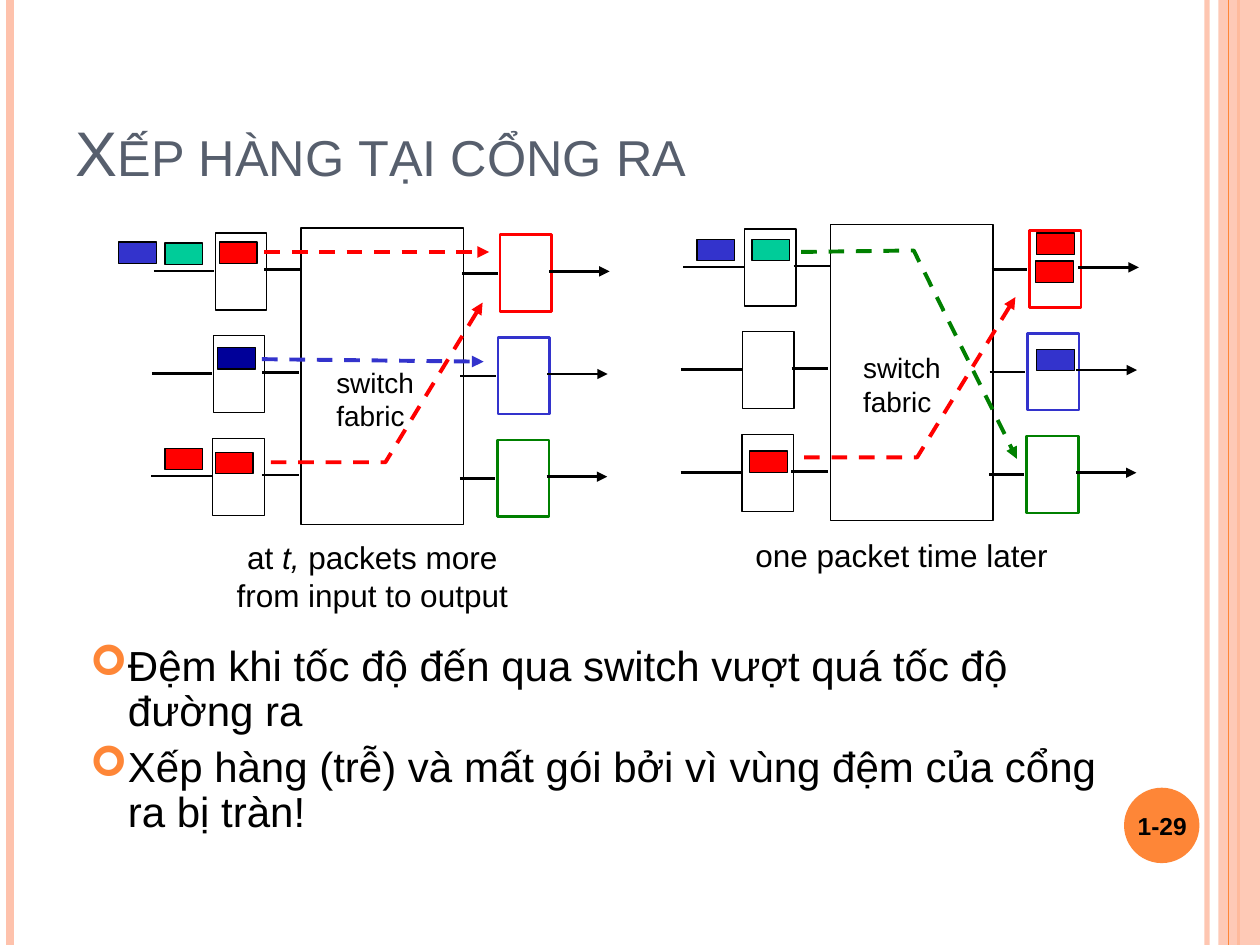
from dataclasses import dataclass
from typing import NamedTuple

from lxml.etree import SubElement
from pptx import Presentation
from pptx.dml.color import RGBColor
from pptx.enum.dml import MSO_LINE_DASH_STYLE as Dash
from pptx.enum.shapes import MSO_CONNECTOR as Connector, MSO_SHAPE as Shape
from pptx.enum.text import MSO_ANCHOR as Anchor, PP_ALIGN as Align
from pptx.oxml.ns import qn
from pptx.util import Cm, Pt


@dataclass(frozen=True)
class Theme:
    font: str = "Arial"
    bullet_font: str = "Wingdings"
    bullet_char: str = "¢"  # a bold ring in the symbol font
    black: str = "000000"
    white: str = "FFFFFF"
    red: str = "FF0000"
    blue: str = "3333CC"
    navy: str = "000099"
    green: str = "008000"
    teal: str = "00CC99"
    orange: str = "FE8637"
    peach: str = "FEC2AC"
    slate: str = "575F6D"
    title_pt: int = 36
    body_pt: int = 24
    caption_pt: int = 18
    label_pt: int = 16
    number_pt: int = 14


T = Theme()


class Box(NamedTuple):
    x: float
    y: float
    w: float
    h: float

    def emu(self) -> list:
        return [Cm(v) for v in self]


class Packet(NamedTuple):
    x: float
    y: float
    color: str


class Route(NamedTuple):
    points: list
    color: str


class Switch(NamedTuple):
    x: float
    y: float
    label: Box
    caption: Box
    caption_lines: list
    packets: list
    routes: list


BULLETS = [
    "Đệm khi tốc độ đến qua switch vượt quá tốc độ đường ra",
    "Xếp hàng (trễ) và mất gói bởi vì vùng đệm của cổng ra bị tràn!",
]
SWITCHES = [
    Switch(6.07, 4.6, Box(6.53, 7.24, 2.4, 1.63), Box(4.09, 10.72, 6.83, 1.78),
           ["at t, packets more", "from input to output"],
           [Packet(4.42, 4.88, T.red), Packet(4.39, 7.01, T.navy),
            Packet(4.34, 9.12, T.red), Packet(3.33, 4.9, T.teal),
            Packet(3.33, 9.04, T.red), Packet(2.39, 4.88, T.blue)],
           [Route([(5.33, 5.08), (9.86, 5.08)], T.red),
            Route([(5.46, 9.32), (7.77, 9.32), (9.73, 6.1)], T.red),
            Route([(5.28, 7.24), (9.75, 7.29)], T.blue)]),
    Switch(16.74, 4.52, Box(17.15, 6.95, 2.4, 1.63), Box(14.76, 10.68, 6.83, 1.02),
           ["one packet time later"],
           [Packet(20.9, 4.7, T.red), Packet(20.9, 7.04, T.blue),
            Packet(20.88, 5.26, T.red), Packet(15.16, 4.83, T.teal),
            Packet(15.11, 9.09, T.red), Packet(14.05, 4.83, T.blue)],
           [Route([(16.21, 9.22), (18.49, 9.22), (20.47, 5.99)], T.red),
            Route([(16.15, 5.08), (18.42, 5.05), (20.5, 9.25)], T.green)]),
]
ROW_PITCH = 2.07
ROW_SHIFTS = (0, -0.04, -0.05)
PORT_COLORS = (T.red, T.blue, T.green)


def rgb(color: str) -> RGBColor:
    return RGBColor.from_string(color)


def set_alpha(element, percent: int) -> None:
    clr = next(element.iter(qn("a:srgbClr")))
    SubElement(clr, qn("a:alpha")).set("val", str(percent * 1000))


def style_line(line, color: str, pt: float, arrow: bool = False, dashed: bool = False) -> None:
    line.color.rgb = rgb(color)
    line.width = Pt(pt)
    if dashed:
        line.dash_style = Dash.DASH
    if arrow:
        SubElement(line._get_or_add_ln(), qn("a:tailEnd")).set("type", "triangle")


def add_line(s, x1: float, y1: float, x2: float, y2: float, color: str = T.black,
             pt: float = 1.5, arrow: bool = False, dashed: bool = False):
    sp = s.shapes.add_connector(Connector.STRAIGHT, Cm(x1), Cm(y1), Cm(x2), Cm(y2))
    style_line(sp.line, color, pt, arrow, dashed)
    SubElement(sp._element.spPr, qn("a:effectLst"))
    return sp


def add_block(s, box: Box, fill: str, line: str = "", pt: float = 0.75, kind=Shape.RECTANGLE):
    sp = s.shapes.add_shape(kind, *box.emu())
    sp.shadow.inherit = False
    sp.fill.solid()
    sp.fill.fore_color.rgb = rgb(fill)
    if line:
        style_line(sp.line, line, pt)
    else:
        sp.line.fill.background()
    return sp


def add_route(s, route: Route) -> None:
    if len(route.points) == 2:
        (x1, y1), (x2, y2) = route.points
        add_line(s, x1, y1, x2, y2, route.color, 2.25, True, True)
        return
    start, *rest = [(Cm(x), Cm(y)) for x, y in route.points]
    builder = s.shapes.build_freeform(*start)
    builder.add_line_segments(rest, close=False)
    sp = builder.convert_to_shape()
    sp.shadow.inherit = False
    sp.fill.background()
    style_line(sp.line, route.color, 2.25, True, True)


def format_run(r, pt: int, color: str = T.black) -> None:
    r.font.name, r.font.size = T.font, Pt(pt)
    r.font.color.rgb = rgb(color)


def add_text(s, box: Box, lines: list, pt: int, align=Align.LEFT):
    tf = s.shapes.add_textbox(*box.emu()).text_frame
    tf.word_wrap = True
    tf.text = "\n".join(lines)
    for p in tf.paragraphs:
        p.alignment = align
        for r in p.runs:
            format_run(r, pt)
    return tf


def add_caption(s, switch: Switch) -> None:
    tf = add_text(s, switch.caption, switch.caption_lines, T.caption_pt, Align.CENTER)
    p = tf.paragraphs[0]
    before, variable, after = p.text.partition("t,")
    if variable:
        p.runs[0].text = before
        for part in (variable, after):
            r = p.add_run()
            r.text = part
            format_run(r, T.caption_pt)
            r.font.italic = part == variable


def draw_switch(s, switch: Switch) -> None:
    # Fabric, then one input port and one output port per row
    add_block(s, Box(switch.x, switch.y, 3.28, 5.97), T.white, T.black)
    for i, (shift, color) in enumerate(zip(ROW_SHIFTS, PORT_COLORS)):
        x, y = switch.x + shift, switch.y + i * ROW_PITCH
        add_block(s, Box(x - 1.73, y + 0.1, 1.04, 1.55), T.white, T.black)
        add_block(s, Box(x + 4.01, y + 0.13, 1.04, 1.55), T.white, color, 1.5)
        for x1, x2, dy in ((3.25, 3.96, 0.91), (-0.74, 0, 0.84), (-2.97, -1.75, 0.86)):
            add_line(s, x + x1, y + dy, x + x2, y + dy)
        add_line(s, x + 5, y + 0.87, x + 6.22, y + 0.87, arrow=True)
    for packet in switch.packets:
        add_block(s, Box(packet.x, packet.y, 0.76, 0.43), packet.color, T.black)
    add_text(s, switch.label, ["switch", "fabric"], T.label_pt)
    add_caption(s, switch)
    for route in switch.routes:
        add_route(s, route)


def draw_frame(s) -> None:
    edge = add_line(s, 24.33, 0, 24.33, 19.05, T.peach, 3)
    set_alpha(edge._element, 93)
    add_line(s, 0.2, 0, 0.2, 19.05, T.peach, 4.5)
    add_line(s, 24.97, 0, 24.97, 19.05, T.orange, 1.5)
    band = add_block(s, Box(24.56, 0, 0.84, 19.05), T.peach)
    set_alpha(band._element, 87)
    add_line(s, 24.77, 0, 24.77, 19.05, T.orange, 0.75)
    add_block(s, Box(22.66, 15.88, 1.52, 1.52), T.orange, kind=Shape.OVAL)


def draw_title(s) -> None:
    sp = s.shapes.title
    sp.left, sp.top, sp.width, sp.height = Box(1.27, 0.76, 20.75, 3.18).emu()
    tf = sp.text_frame
    tf.text = "Xếp hàng tại cổng ra"
    tf.vertical_anchor = Anchor.BOTTOM
    p = tf.paragraphs[0]
    p.alignment = Align.LEFT
    format_run(p.runs[0], T.title_pt, T.slate)
    p.runs[0].font._element.set("cap", "small")


def draw_bullets(s) -> None:
    tf = add_text(s, Box(1.57, 12.88, 21.59, 3.3), BULLETS, T.body_pt)
    for i, p in enumerate(tf.paragraphs):
        pPr = p._p.get_or_add_pPr()
        pPr.set("marL", str(Cm(0.76)))
        pPr.set("indent", str(-Cm(0.76)))
        SubElement(SubElement(pPr, qn("a:buClr")), qn("a:srgbClr")).set("val", T.orange)
        font = SubElement(pPr, qn("a:buFont"))
        font.set("typeface", T.bullet_font)
        font.set("charset", "2")
        SubElement(pPr, qn("a:buChar")).set("char", T.bullet_char)
        p.line_spacing = 0.9
        if i:
            p.space_before = Pt(6)


def main() -> None:
    prs = Presentation()
    prs.slide_width, prs.slide_height = Cm(25.4), Cm(19.05)
    s = prs.slides.add_slide(prs.slide_layouts[5])
    draw_frame(s)
    draw_title(s)
    draw_bullets(s)
    # Slide number on the round badge
    tf = add_text(s, Box(22.58, 15.93, 1.7, 1.45), ["1-29"], T.number_pt, Align.CENTER)
    tf.vertical_anchor = Anchor.MIDDLE
    tf.paragraphs[0].runs[0].font.bold = True
    for switch in SWITCHES:
        draw_switch(s, switch)
    prs.save("out.pptx")


if __name__ == "__main__":
    main()
